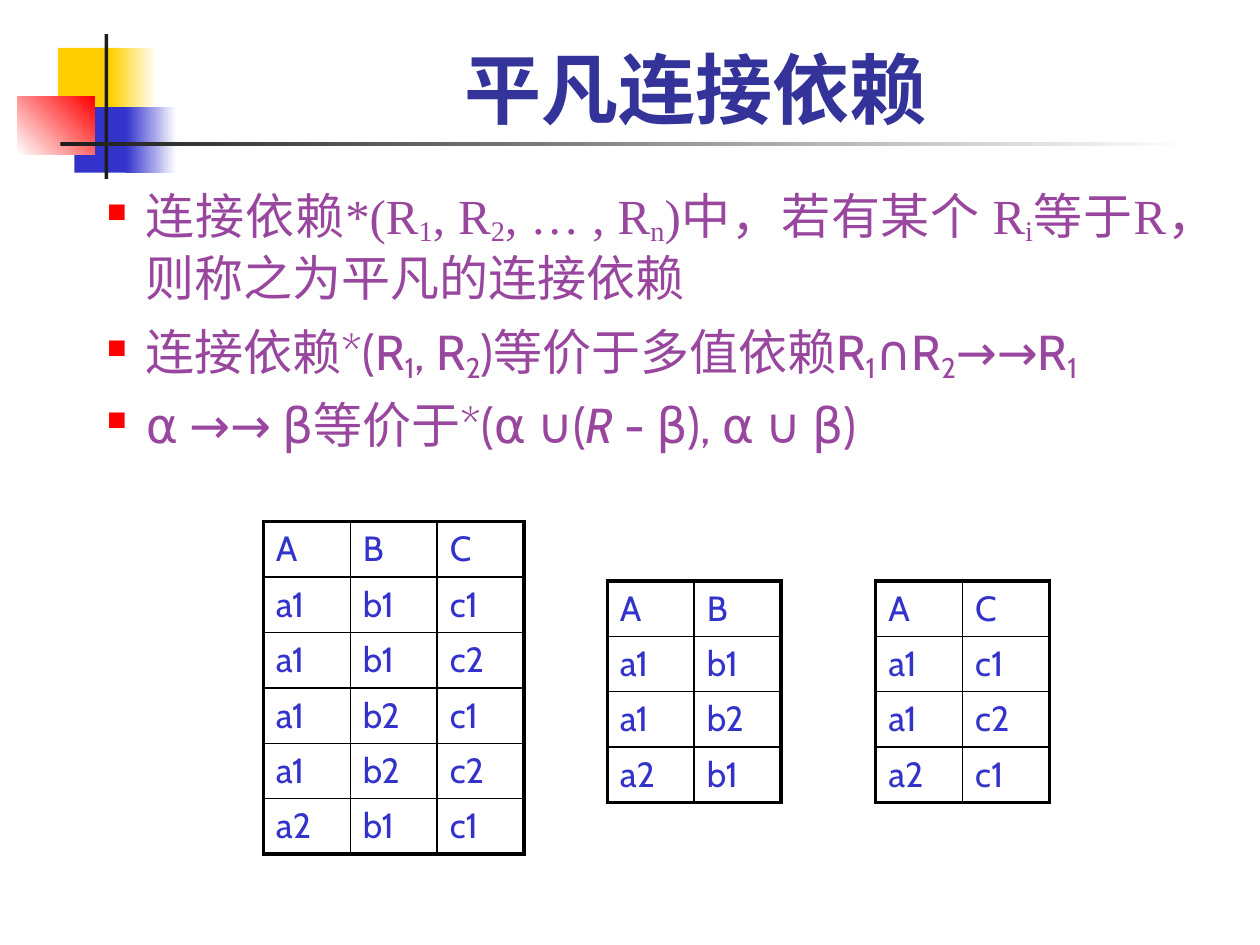
from lxml.etree import SubElement
from pptx import Presentation
from pptx.dml.color import RGBColor
from pptx.enum.shapes import MSO_SHAPE
from pptx.enum.text import MSO_ANCHOR, PP_ALIGN
from pptx.oxml.ns import qn
from pptx.util import Inches, Pt


def rgb(value):
    """Turn a hex string into a colour."""
    return RGBColor.from_string(value)


class Deck:
    """Style and current slide, measured in grid units of a tenth of an inch."""

    TITLE = {"size": Pt(44), "name": "Cabin", "bold": True, "color": "333399"}
    BODY = {"size": Pt(28), "name": "Cabin", "color": "98469E"}
    SERIF = {**BODY, "name": "Times New Roman"}
    CELL = {"size": Pt(20), "name": "Cabin", "color": "3333CC"}
    SUB = {"baseline": "-16000"}
    ITALIC = {"italic": True}
    BULLET = "FF0000"
    BORDER = "000000"
    OUTER, INNER = Pt(2.25), Pt(1)
    COL, ROW = 6.9, 4.4

    def __init__(self):
        """Start a 100 by 75 unit slide."""
        self.prs = Presentation()
        self.prs.slide_width, self.prs.slide_height = self.units(100, 75)
        self.s = self.prs.slides.add_slide(self.prs.slide_layouts[6])

    def units(self, *values):
        """Convert grid units to lengths."""
        return [Inches(v / 10) for v in values]

    def bar(self, box, start, end=None, angle=0):
        """Draw a rectangle with a plain or two-colour fill."""
        sp = self.s.shapes.add_shape(MSO_SHAPE.RECTANGLE, *self.units(*box))
        sp.shadow.inherit = False
        sp.line.fill.background()
        if end is None:
            sp.fill.solid()
            sp.fill.fore_color.rgb = rgb(start)
            return
        sp.fill.gradient()
        sp.fill.gradient_angle = angle
        for stop, color, position in zip(sp.fill.gradient_stops, (start, end), (0, 1)):
            stop.color.rgb = rgb(color)
            stop.position = position

    def run(self, p, text, style):
        """Add a run and apply its format values."""
        r = p.add_run()
        r.text = text
        for key, value in style.items():
            if key == "color":
                r.font.color.rgb = rgb(value)
            elif key == "baseline":
                r.font._element.set(key, value)
            else:
                setattr(r.font, key, value)

    def bullet(self, p):
        """Give a paragraph a hanging square bullet."""
        pPr = p._p.get_or_add_pPr()
        for key, value in zip(("marL", "indent"), self.units(8.1, -3.1)):
            pPr.set(key, str(value))
        SubElement(SubElement(pPr, qn("a:buClr")), qn("a:srgbClr"), val=self.BULLET)
        SubElement(pPr, qn("a:buSzPct"), val="55000")
        SubElement(pPr, qn("a:buChar"), char="■")

    def text(self, box, paragraphs, style, align=PP_ALIGN.JUSTIFY,
             anchor=MSO_ANCHOR.TOP, bullets=True):
        """Write paragraphs whose parts between bars take the marked style."""
        tf = self.s.shapes.add_textbox(*self.units(*box)).text_frame
        tf.word_wrap, tf.vertical_anchor = True, anchor
        for i, (content, mark) in enumerate(paragraphs):
            p = tf.add_paragraph() if i else tf.paragraphs[0]
            if bullets:
                self.bullet(p)
            p.alignment = align
            if i:
                p.space_before = Pt(6)
            for j, part in enumerate(content.split("|")):
                self.run(p, part, {**style, **mark} if j % 2 else style)

    def border(self, cell, edges):
        """Draw the four cell borders, heavier on the table's outer edges."""
        tcPr = cell._tc.get_or_add_tcPr()
        for side, outer in edges.items():
            width = self.OUTER if outer else self.INNER
            ln = SubElement(tcPr, qn(f"a:ln{side}"), w=str(width))
            SubElement(SubElement(ln, qn("a:solidFill")), qn("a:srgbClr"), val=self.BORDER)

    def table(self, left, top, lines):
        """Draw a relation from lines of space-separated values."""
        rows = [line.split() for line in lines]
        n, m = len(rows), len(rows[0])
        size = self.units(left, top, m * self.COL, n * self.ROW)
        tbl = self.s.shapes.add_table(n, m, *size).table
        tbl.first_row = tbl.horz_banding = False
        for i, row in enumerate(rows):
            for j, value in enumerate(row):
                cell = tbl.cell(i, j)
                cell.vertical_anchor = MSO_ANCHOR.MIDDLE
                self.border(cell, {"L": j == 0, "R": j == m - 1, "T": i == 0, "B": i == n - 1})
                cell.fill.background()
                p = cell.text_frame.paragraphs[0]
                p.alignment = PP_ALIGN.JUSTIFY
                self.run(p, value, self.CELL)


def main():
    """Build the slide on trivial join dependencies."""
    d = Deck()
    d.bar((4.6, 3.8, 4.8, 5.2), "FFCF01")
    d.bar((8.8, 3.8, 3.6, 5.2), "FFCF01", "FFFFFF")
    d.bar((5.9, 8.5, 4.6, 5.2), "3333CC")
    d.bar((10, 8.5, 4, 5.2), "3333CC", "FFFFFF")
    d.bar((1.4, 7.7, 6.1, 4.6), "FFFFFF", "FF0000", 45)
    d.bar((8.3, 2.7, 0.3, 11.5), "1C1C1C")
    d.bar((4.8, 11.3, 90, 0.3), "1C1C1C", "FFFFFF")

    d.text((12.6, 1.7, 85.2, 9.4), [("平凡连接依赖", {})], d.TITLE,
           PP_ALIGN.CENTER, MSO_ANCHOR.BOTTOM, False)
    d.text((2.5, 25, 95.8, 11.7), [
        ("连接依赖*(R|1|, R|2|)等价于多值依赖R|1|∩R|2|→→R|1", d.SUB),
        ("α →→ β等价于*(α ∪(|R| - β), α ∪ β)", d.ITALIC),
    ], d.BODY)
    d.text((2.5, 14.2, 95, 10.7), [
        ("连接依赖*(R|1|, R|2|, … , R|n|)中，若有某个 R|i|等于R，则称之为平凡的连接依赖", d.SUB),
    ], d.SERIF)

    d.table(20.9, 41.4, ["A B C", "a1 b1 c1", "a1 b1 c2", "a1 b2 c1", "a1 b2 c2", "a2 b1 c1"])
    d.table(48.2, 46.1, ["A B", "a1 b1", "a1 b2", "a2 b1"])
    d.table(69.5, 46.1, ["A C", "a1 c1", "a1 c2", "a2 c1"])
    d.prs.save("out.pptx")


if __name__ == "__main__":
    main()
